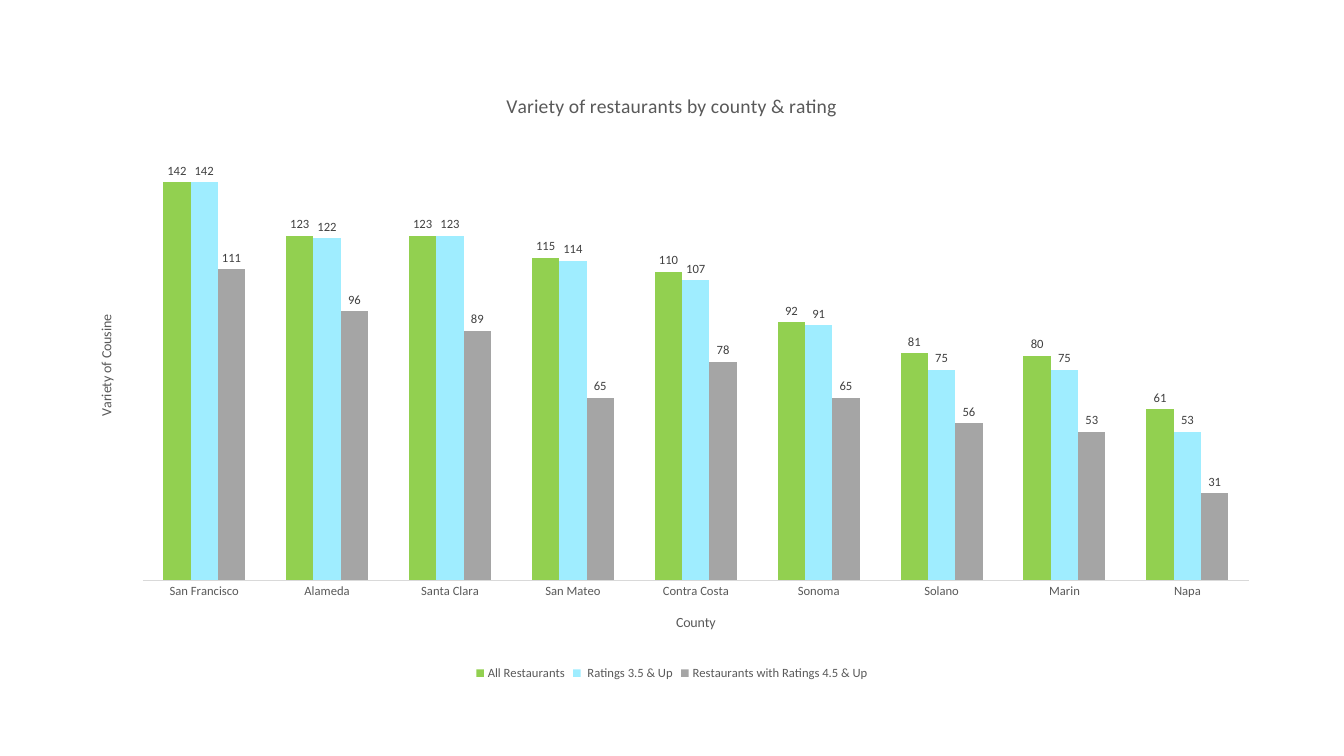
import pptx
import pptx.chart.data
import pptx.dml.color
import pptx.enum.chart
import pptx.oxml
import pptx.util
from dataclasses import dataclass

Cm = pptx.util.Cm
Pt = pptx.util.Pt
enum = pptx.enum.chart


@dataclass(frozen=True)
class Theme:
    face: str = "Calibri"
    text: str = "595959"
    label: str = "404040"
    line: str = "D9D9D9"
    bars: tuple = ("92D050", "9FEDFF", "A5A5A5")
    head: int = 14
    name: int = 10
    small: int = 9


THEME = Theme()
COUNTIES = ("San Francisco", "Alameda", "Santa Clara", "San Mateo", "Contra Costa",
            "Sonoma", "Solano", "Marin", "Napa")
RATINGS = {
    "All Restaurants": (142, 123, 123, 115, 110, 92, 81, 80, 61),
    " Ratings 3.5 & Up": (142, 122, 123, 114, 107, 91, 75, 75, 53),
    "Restaurants with Ratings 4.5 & Up": (111, 96, 89, 65, 78, 65, 56, 53, 31),
}
PLOT = {"x": 0.06, "y": 0.1, "w": 0.92, "h": 0.73}


def rgb(code):
    return pptx.dml.color.RGBColor.from_string(code)


def set_font(font, size, color):
    font.name = THEME.face
    font.size = Pt(size)
    font.bold = False
    font.color.rgb = rgb(color)


def add_title(owner, text, size):
    owner.has_title = True
    title = owner.chart_title if hasattr(owner, "chart_title") else owner.axis_title
    run = title.text_frame.paragraphs[0].add_run()
    run.text = text
    set_font(run.font, size, THEME.text)


def place_plot(chart):
    plot = chart.element.find(".//" + pptx.oxml.ns.qn("c:plotArea"))
    for old in plot.findall(pptx.oxml.ns.qn("c:layout")):
        plot.remove(old)
    modes = "".join(f'<c:{side}Mode val="edge"/>' for side in "xy")
    sizes = "".join(f'<c:{side} val="{part}"/>' for side, part in PLOT.items())
    plot.insert(0, pptx.oxml.parse_xml(
        f'<c:layout {pptx.oxml.ns.nsdecls("c")}><c:manualLayout>'
        f'<c:layoutTarget val="inner"/>{modes}{sizes}</c:manualLayout></c:layout>'))


def style_axes(chart):
    county = chart.category_axis
    county.major_tick_mark = enum.XL_TICK_MARK.NONE
    county.format.line.color.rgb = rgb(THEME.line)
    county.format.line.width = Pt(0.75)
    set_font(county.tick_labels.font, THEME.small, THEME.text)
    add_title(county, "County", THEME.name)

    count = chart.value_axis
    count.minimum_scale = 0
    count.maximum_scale = 160
    count.has_major_gridlines = False
    count.visible = False
    add_title(count, "Variety of Cousine", THEME.name)


def style_bars(plot):
    plot.gap_width = 150
    plot.overlap = 0
    plot.vary_by_categories = False
    for bar, color in zip(plot.series, THEME.bars):
        bar.format.fill.solid()
        bar.format.fill.fore_color.rgb = rgb(color)
        bar.invert_if_negative = False
        labels = bar.data_labels
        labels.show_value = True
        labels.position = enum.XL_LABEL_POSITION.OUTSIDE_END
        set_font(labels.font, THEME.small, THEME.label)


def add_key(chart):
    chart.has_legend = True
    chart.legend.position = enum.XL_LEGEND_POSITION.BOTTOM
    chart.legend.include_in_layout = False
    set_font(chart.legend.font, THEME.small, THEME.text)


def add_bars(slide):
    data = pptx.chart.data.CategoryChartData()
    data.categories = COUNTIES
    for name, counts in RATINGS.items():
        data.add_series(name, counts)
    chart = slide.shapes.add_chart(
        enum.XL_CHART_TYPE.COLUMN_CLUSTERED,
        Cm(1.78), Cm(1.78), Cm(30.3), Cm(15.47), data).chart
    set_font(chart.font, THEME.name, THEME.text)
    add_title(chart, "Variety of restaurants by county & rating", THEME.head)
    place_plot(chart)
    style_axes(chart)
    style_bars(chart.plots[0])
    add_key(chart)


def main():
    deck = pptx.Presentation()
    deck.slide_width = Cm(33.87)
    deck.slide_height = Cm(19.05)
    add_bars(deck.slides.add_slide(deck.slide_layouts[6]))
    deck.save("out.pptx")


main()
